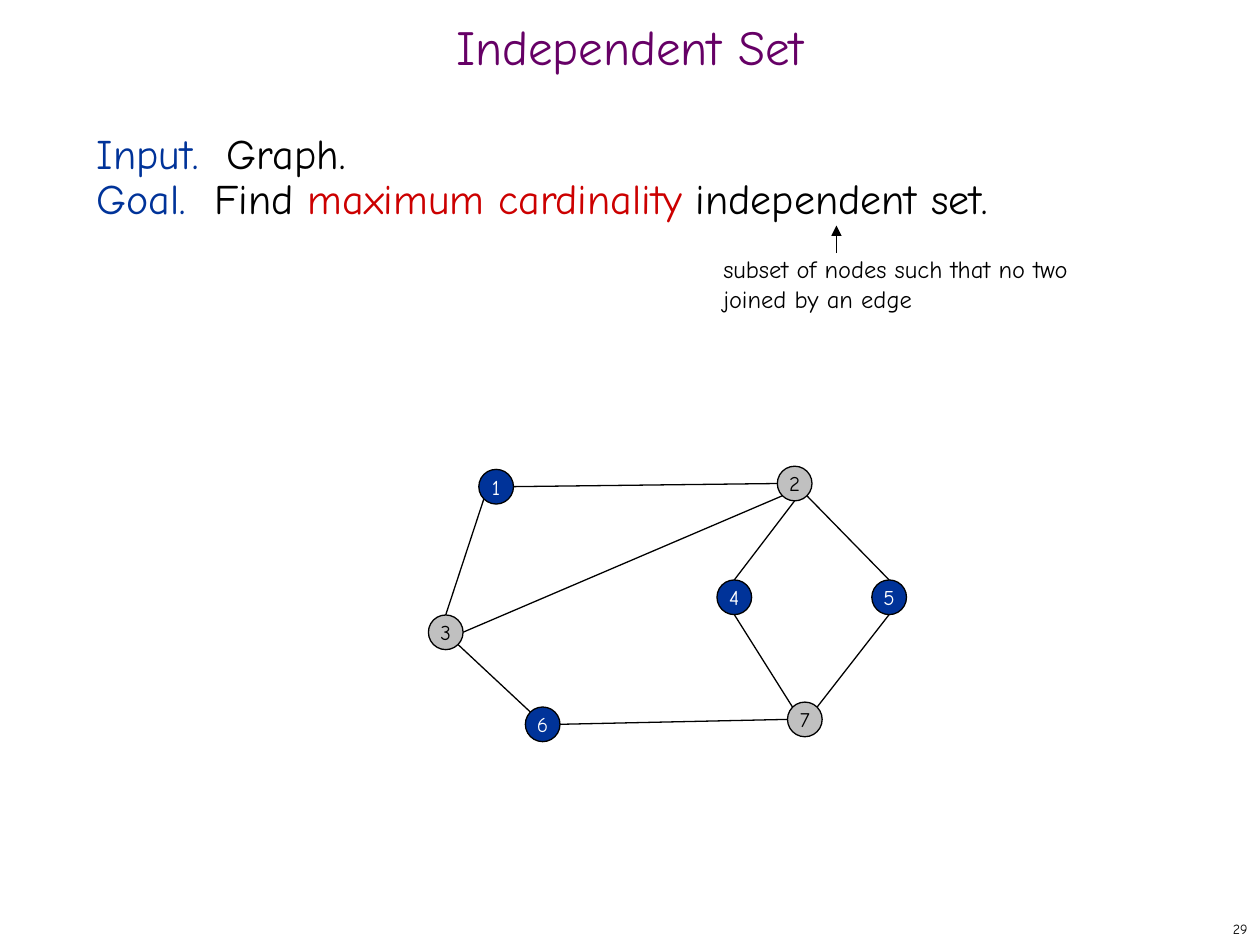
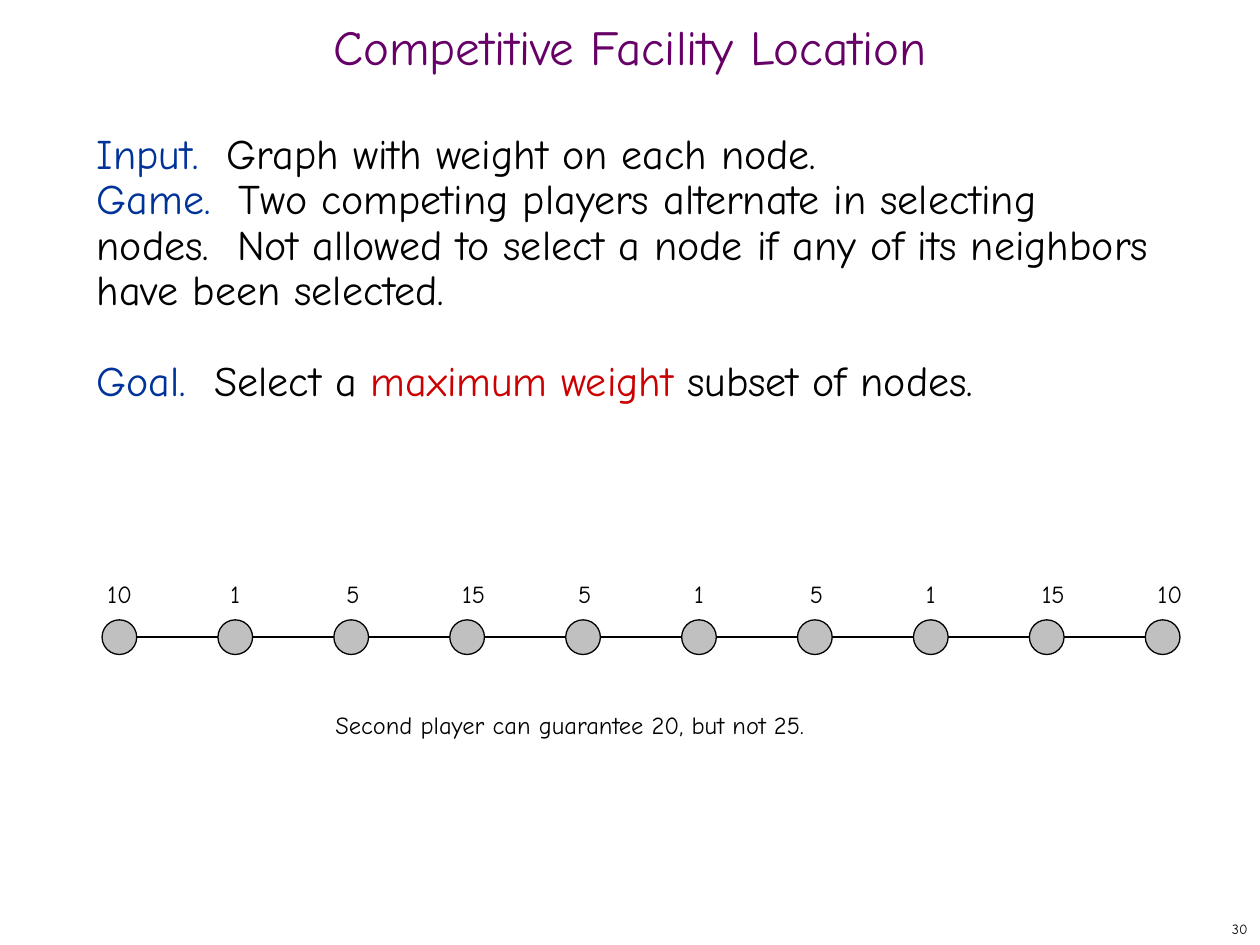
from dataclasses import dataclass
from math import sqrt
from typing import NamedTuple

from lxml.etree import SubElement
from pptx import Presentation
from pptx.dml.color import RGBColor
from pptx.enum.shapes import MSO_CONNECTOR, MSO_SHAPE
from pptx.enum.text import MSO_ANCHOR, PP_ALIGN
from pptx.oxml.ns import qn
from pptx.util import Pt


@dataclass(frozen=True)
class Theme:
    font: str = "Comic Neue"
    ink: RGBColor = RGBColor(0x00, 0x00, 0x00)
    paper: RGBColor = RGBColor(0xFF, 0xFF, 0xFF)
    title: RGBColor = RGBColor(0x66, 0x00, 0x66)
    term: RGBColor = RGBColor(0x00, 0x33, 0x99)
    stress: RGBColor = RGBColor(0xCC, 0x00, 0x00)
    node: RGBColor = RGBColor(0xC0, 0xC0, 0xC0)
    title_size: float = 28
    body_size: float = 24
    body_leading: float = 26
    note_size: float = 14
    node_size: float = 12
    number_size: float = 8
    line: float = 0.75


T = Theme()


class Box(NamedTuple):
    left: float
    top: float
    width: float
    height: float


class Span(NamedTuple):
    text: str
    color: RGBColor = T.ink


class Line(NamedTuple):
    spans: list[Span]
    space_before: float = 0


class Point(NamedTuple):
    x: float
    y: float


class Node(NamedTuple):
    left: float
    top: float
    label: str = ""
    chosen: bool = False


class Edge(NamedTuple):
    start: int
    start_side: str
    end: int
    end_side: str


SLIDE_W, SLIDE_H = 720, 540
TITLE = Box(0, 12.2, 720, 36)
BODY = Box(48.2, 72, 618, 426)
NUMBER = Box(570, 522, 150, 18)
DIAMETER = 19.8
DIAGONAL = 1 / sqrt(2)
SIDES = {
    "N": (0, -1),
    "S": (0, 1),
    "W": (-1, 0),
    "E": (1, 0),
    "NW": (-DIAGONAL, -DIAGONAL),
    "NE": (DIAGONAL, -DIAGONAL),
    "SW": (-DIAGONAL, DIAGONAL),
    "SE": (DIAGONAL, DIAGONAL),
}

GRAPH_NODES = {
    1: Node(273.6, 268.2, "1", True),
    2: Node(444.2, 266.4, "2"),
    3: Node(244.8, 351.4, "3"),
    4: Node(409.7, 331.4, "4", True),
    5: Node(498.2, 331.4, "5", True),
    6: Node(300.2, 404, "6", True),
    7: Node(450, 401.2, "7"),
}
GRAPH_EDGES = [
    Edge(1, "E", 2, "W"),
    Edge(1, "SW", 3, "N"),
    Edge(3, "E", 2, "SW"),
    Edge(4, "N", 2, "S"),
    Edge(2, "SE", 5, "N"),
    Edge(4, "S", 7, "NW"),
    Edge(5, "S", 7, "NE"),
    Edge(3, "SE", 6, "NW"),
    Edge(6, "E", 7, "W"),
]
CHAIN_WEIGHTS = [10, 1, 5, 15, 5, 1, 5, 1, 15, 10]
CHAIN_LEFT, CHAIN_TOP, CHAIN_PITCH = 58.3, 354.2, 66.24
WEIGHT_TOP = 327.2


def style(p, size: float, color: RGBColor = T.ink, align=PP_ALIGN.LEFT) -> None:
    p.alignment = align
    p.font.name = T.font
    p.font.size = Pt(size)
    p.font.color.rgb = color


def add_text(s, box: Box, text: str, size: float, color: RGBColor = T.ink,
             align=PP_ALIGN.LEFT, anchor=MSO_ANCHOR.TOP, wrap: bool = True):
    sp = s.shapes.add_textbox(*map(Pt, box))
    tf = sp.text_frame
    tf.word_wrap = wrap
    tf.vertical_anchor = anchor
    p = tf.paragraphs[0]
    p.text = text
    style(p, size, color, align)
    return tf


def add_body(s, lines: list[Line]) -> None:
    tf = s.shapes.add_textbox(*map(Pt, BODY)).text_frame
    tf.word_wrap = True
    for i, line in enumerate(lines):
        p = tf.add_paragraph() if i else tf.paragraphs[0]
        style(p, T.body_size)
        p.line_spacing = Pt(T.body_leading)
        if line.space_before:
            p.space_before = Pt(line.space_before)
        for span in line.spans:
            r = p.add_run()
            r.text = span.text
            r.font.color.rgb = span.color


def add_slide(prs, title: str, number: int, lines: list[Line]):
    s = prs.slides.add_slide(prs.slide_layouts[6])
    add_text(s, NUMBER, str(number), T.number_size, T.ink, PP_ALIGN.RIGHT, MSO_ANCHOR.MIDDLE)
    tf = add_text(s, TITLE, title, T.title_size, T.title, PP_ALIGN.CENTER, MSO_ANCHOR.MIDDLE)
    tf.paragraphs[0].line_spacing = 0.7
    add_body(s, lines)
    return s


def add_node(s, node: Node) -> None:
    sp = s.shapes.add_shape(MSO_SHAPE.OVAL, Pt(node.left), Pt(node.top), Pt(DIAMETER), Pt(DIAMETER))
    sp.shadow.inherit = False
    sp.fill.solid()
    sp.fill.fore_color.rgb = T.term if node.chosen else T.node
    sp.line.color.rgb = T.ink
    sp.line.width = Pt(T.line)
    if node.label:
        tf = sp.text_frame
        tf.word_wrap = False
        tf.vertical_anchor = MSO_ANCHOR.MIDDLE
        p = tf.paragraphs[0]
        p.text = node.label
        style(p, T.node_size, T.paper if node.chosen else T.ink, PP_ALIGN.CENTER)


def add_line(s, start: Point, end: Point, arrow: bool = False) -> None:
    cxn = s.shapes.add_connector(MSO_CONNECTOR.STRAIGHT, *map(Pt, (*start, *end)))
    cxn.line.color.rgb = T.ink
    cxn.line.width = Pt(T.line)
    sp_pr = cxn._element.spPr
    if arrow:
        SubElement(sp_pr.find(qn("a:ln")), qn("a:tailEnd"), type="triangle")
    SubElement(sp_pr, qn("a:effectLst"))


def rim(node: Node, side: str) -> Point:
    radius = DIAMETER / 2
    dx, dy = SIDES[side]
    return Point(node.left + radius * (1 + dx), node.top + radius * (1 + dy))


def add_graph(s, nodes: dict[int, Node], edges: list[Edge]) -> None:
    for edge in edges:
        add_line(s, rim(nodes[edge.start], edge.start_side), rim(nodes[edge.end], edge.end_side))
    for node in nodes.values():
        add_node(s, node)


def independent_set(prs) -> None:
    s = add_slide(prs, "Independent Set", 29, [
        Line([Span("Input.  ", T.term), Span("Graph.")]),
        Line([Span("Goal.  ", T.term), Span("Find "),
              Span("maximum cardinality", T.stress), Span(" independent set.")]),
    ])
    add_graph(s, GRAPH_NODES, GRAPH_EDGES)
    tf = add_text(s, Box(413.3, 145.4, 202.3, 33.8),
                  "subset of nodes such that no two \vjoined by an edge", T.note_size, wrap=False)
    tf.margin_left = tf.margin_right = tf.margin_top = tf.margin_bottom = 0
    add_line(s, Point(478, 144.7), Point(478, 128.9), arrow=True)


def facility_location(prs) -> None:
    s = add_slide(prs, "Competitive Facility Location", 30, [
        Line([Span("Input.  ", T.term), Span("Graph with weight on each node.")]),
        Line([Span("Game.  ", T.term),
              Span("Two competing players alternate in selecting nodes.  Not allowed to select "
                   "a node if any of its neighbors have been selected.")]),
        Line([Span("Goal.  ", T.term), Span("Select a "),
              Span("maximum weight", T.stress), Span(" subset of nodes.")], T.body_leading),
    ])
    nodes = {i: Node(CHAIN_LEFT + i * CHAIN_PITCH, CHAIN_TOP) for i in range(len(CHAIN_WEIGHTS))}
    add_graph(s, nodes, [Edge(i, "E", i + 1, "W") for i in range(len(nodes) - 1)])
    for i, weight in enumerate(CHAIN_WEIGHTS):
        left = nodes[i].left - (0 if i else 4)
        width = 28.5 if weight > 9 else 21
        add_text(s, Box(left, WEIGHT_TOP, width, 24), str(weight), T.note_size, wrap=False)
    add_text(s, Box(184.5, 402, 283.5, 24), "Second player can guarantee 20, but not 25.",
             T.note_size, wrap=False)


def main() -> None:
    prs = Presentation()
    prs.slide_width, prs.slide_height = Pt(SLIDE_W), Pt(SLIDE_H)
    independent_set(prs)
    facility_location(prs)
    prs.save("out.pptx")


if __name__ == "__main__":
    main()
